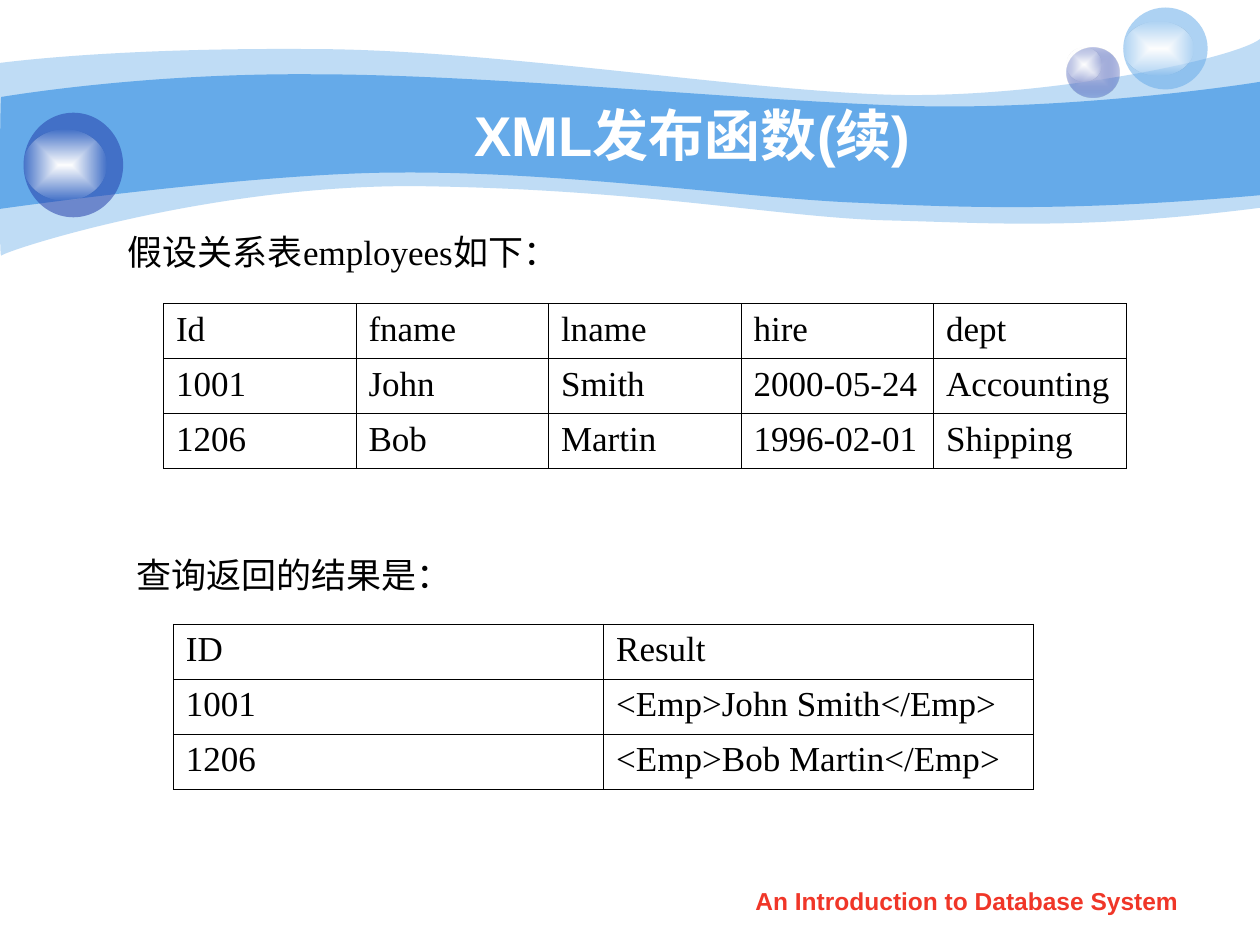
from lxml.etree import SubElement
from pptx import Presentation
from pptx.dml.color import RGBColor as Color
from pptx.enum.shapes import MSO_SHAPE as Shape
from pptx.enum.text import MSO_ANCHOR as Anchor, PP_ALIGN as Align
from pptx.oxml import parse_xml
from pptx.oxml.ns import nsdecls, qn
from pptx.util import Inches, Pt

# Content: every place is in cells of a grid of 100 columns by 75 rows
COLUMNS, ROWS = 100, 75
COLORS = {"sky": "65AAE9", "navy": "233DA9", "lilac": "C6CCE8", "white": "FFFFFF",
          "glow": "FEFEFE", "black": "000000", "red": "F03628"}

BODY = {"name": "Times New Roman", "size": Pt(20), "bold": False}
TITLE = {"name": "Arial", "size": Pt(32), "bold": True}
FOOTER = {"name": "Arial", "size": Pt(14), "bold": True}

TEXTS = [  # words, place, font, color, alignment, anchor
    ("XML发布函数(续)", (14.55, 7.55, 80.8, 6.2), TITLE, "white", Align.CENTER, Anchor.MIDDLE),
    ("假设关系表employees如下：", (9.15, 17.8, 38.2, 4.4), BODY, "black", Align.LEFT,
     Anchor.MIDDLE),
    ("查询返回的结果是：", (9.85, 43.4, 27, 4.4), BODY, "black", Align.LEFT, Anchor.MIDDLE),
    ("An Introduction to Database System", (57.05, 69.8, 39.4, 3.5), FOOTER, "red",
     Align.CENTER, Anchor.TOP),
]

TABLES = [  # place, rows
    ((12.97, 24.1, 76.4, 13.1), [
        ("Id", "fname", "lname", "hire", "dept"),
        ("1001", "John", "Smith", "2000-05-24", "Accounting"),
        ("1206", "Bob", "Martin", "1996-02-01", "Shipping")]),
    ((13.75, 49.55, 68.3, 13.1), [
        ("ID", "Result"),
        ("1001", "<Emp>John Smith</Emp>"),
        ("1206", "<Emp>Bob Martin</Emp>")]),
]

# Waves: opacity, then top edge (left to right) and bottom edge (right to left, back to the start);
# an edge is a start point followed by curves of two controls and an end
WAVES = [
    (41,
     [(0, 5), (2.4, 4.7), (10.7, 3.8), (24.7, 3.9), (38.6, 3.9), (57.5, 7), (69.9, 7.5),
      (82.2, 8), (98, 4.7), (100, 3.1)],
     [(100, 16.5), (85.8, 18.3), (78.7, 17.7), (70.5, 17.5), (62.2, 17.3), (51.5, 15.1),
      (34.3, 14.8), (17.2, 14.4), (0.4, 19.9), (0.1, 20.3), (-0.1, 20.8), (0, 7.5), (0, 5)]),
    (100,
     [(0.1, 7.7), (0.2, 7.7), (11, 5.8), (24.8, 5.9), (38.6, 5.9), (59.5, 8), (71.8, 8.4),
      (84.1, 8.8), (97.6, 6.9), (100, 6.5)],
     [(100, 15.5), (85.3, 16.8), (76.5, 16.5), (68.2, 16.1), (59.9, 15.8), (44.7, 13.6),
      (31.7, 13.7), (20.3, 13.7), (-0.2, 16.6), (-0.1, 16.6), (0, 16.6), (0, 7.7), (0.1, 7.7)]),
]

# Bubbles: pairs of ball and shine, each a place and gradient stops (color, opacity)
# from centre to rim
SHINE = [("white", 100), ("glow", 0)]
BUBBLES = [
    [((84.65, 3.75, 4.2, 4), [("lilac", 100), ("navy", 31)]),
     ((84.65, 3.75, 2.8, 2.7), SHINE)],
    [((89.15, 0.6, 6.7, 6.5), [("sky", 53)]),
     ((89.15, 1.7, 5.6, 4.3), SHINE)],
    [((1.87, 8.95, 7.9, 8.3), [("navy", 53)]),
     ((1.87, 10.3, 6.6, 5.6), SHINE)],
]

deck = Presentation()
deck.slide_width, deck.slide_height = Inches(10), Inches(7.5)
page = deck.slides.add_slide(deck.slide_layouts[6])
CELL_W, CELL_H = deck.slide_width / COLUMNS, deck.slide_height / ROWS


def place(left, top, width, height):
    return [round(n * cell) for n, cell in
            ((left, CELL_W), (top, CELL_H), (width, CELL_W), (height, CELL_H))]


def draw_wave(top_edge, bottom_edge):
    """Outline through all points, then each three steps of an edge become one curve."""
    points = [(x * CELL_W, y * CELL_H) for x, y in top_edge + bottom_edge]
    builder = page.shapes.build_freeform(*points[0])
    builder.add_line_segments(points[1:], close=True)
    wave = builder.convert_to_shape()
    steps = list(wave._element.iter(qn("a:lnTo")))
    turn = len(top_edge) - 1
    for edge in (steps[:turn], steps[turn + 1:turn + len(bottom_edge)]):
        for i in range(0, len(edge), 3):
            curve = parse_xml(f'<a:cubicBezTo {nsdecls("a")}/>')
            edge[i].addprevious(curve)
            for step in edge[i:i + 3]:
                curve.append(step[0])
                step.getparent().remove(step)
    return wave


def paint(shape, stops):
    """One stop gives a plain fill, two give a gradient from the centre."""
    shape.shadow.inherit = False
    shape.line.fill.background()
    if len(stops) == 1:
        name, opacity = stops[0]
        shape.fill.solid()
        shape.fill.fore_color.rgb = Color.from_string(COLORS[name])
        if opacity < 100:
            rgb = next(shape._element.spPr.iter(qn("a:srgbClr")))
            SubElement(rgb, qn("a:alpha"), val=str(opacity * 1000))
        return
    marks = "".join(
        f'<a:gs pos="{i * 100000}"><a:srgbClr val="{COLORS[name]}">'
        f'<a:alpha val="{opacity * 1000}"/></a:srgbClr></a:gs>'
        for i, (name, opacity) in enumerate(stops))
    gradient = parse_xml(
        f'<a:gradFill {nsdecls("a")} rotWithShape="1"><a:gsLst>{marks}</a:gsLst><a:path path="rect">'
        '<a:fillToRect l="50000" t="50000" r="50000" b="50000"/></a:path></a:gradFill>')
    shape._element.spPr.find(qn("a:prstGeom")).addnext(gradient)


def write(para, words, style, color):
    span = para.add_run()
    span.text = words
    for key, value in style.items():
        setattr(span.font, key, value)
    span.font.color.rgb = Color.from_string(COLORS[color])


def outline(cell):
    props = cell._tc.get_or_add_tcPr()
    for i, side in enumerate(("lnL", "lnR", "lnT", "lnB")):
        props.insert(i, parse_xml(
            f'<a:{side} {nsdecls("a")} w="{Pt(0.45)}"><a:solidFill>'
            f'<a:srgbClr val="{COLORS["black"]}"/></a:solidFill></a:{side}>'))


# Banner
for opacity, top_edge, bottom_edge in WAVES:
    paint(draw_wave(top_edge, bottom_edge), [("sky", opacity)])
for parts in BUBBLES:
    bubble = page.shapes.add_group_shape()
    for spot, stops in parts:
        paint(bubble.shapes.add_shape(Shape.OVAL, *place(*spot)), stops)

# Title, captions and footer
for words, spot, style, color, align, anchor in TEXTS:
    box = page.shapes.add_textbox(*place(*spot))
    box.text_frame.word_wrap = True
    box.text_frame.vertical_anchor = anchor
    para = box.text_frame.paragraphs[0]
    para.alignment = align
    write(para, words, style, color)

# Tables
for spot, rows in TABLES:
    table = page.shapes.add_table(len(rows), len(rows[0]), *place(*spot)).table
    table.first_row = table.horz_banding = False
    for r, row in enumerate(rows):
        for c, words in enumerate(row):
            cell = table.cell(r, c)
            cell.fill.background()
            outline(cell)
            write(cell.text_frame.paragraphs[0], words, BODY, "black")

deck.save("out.pptx")
